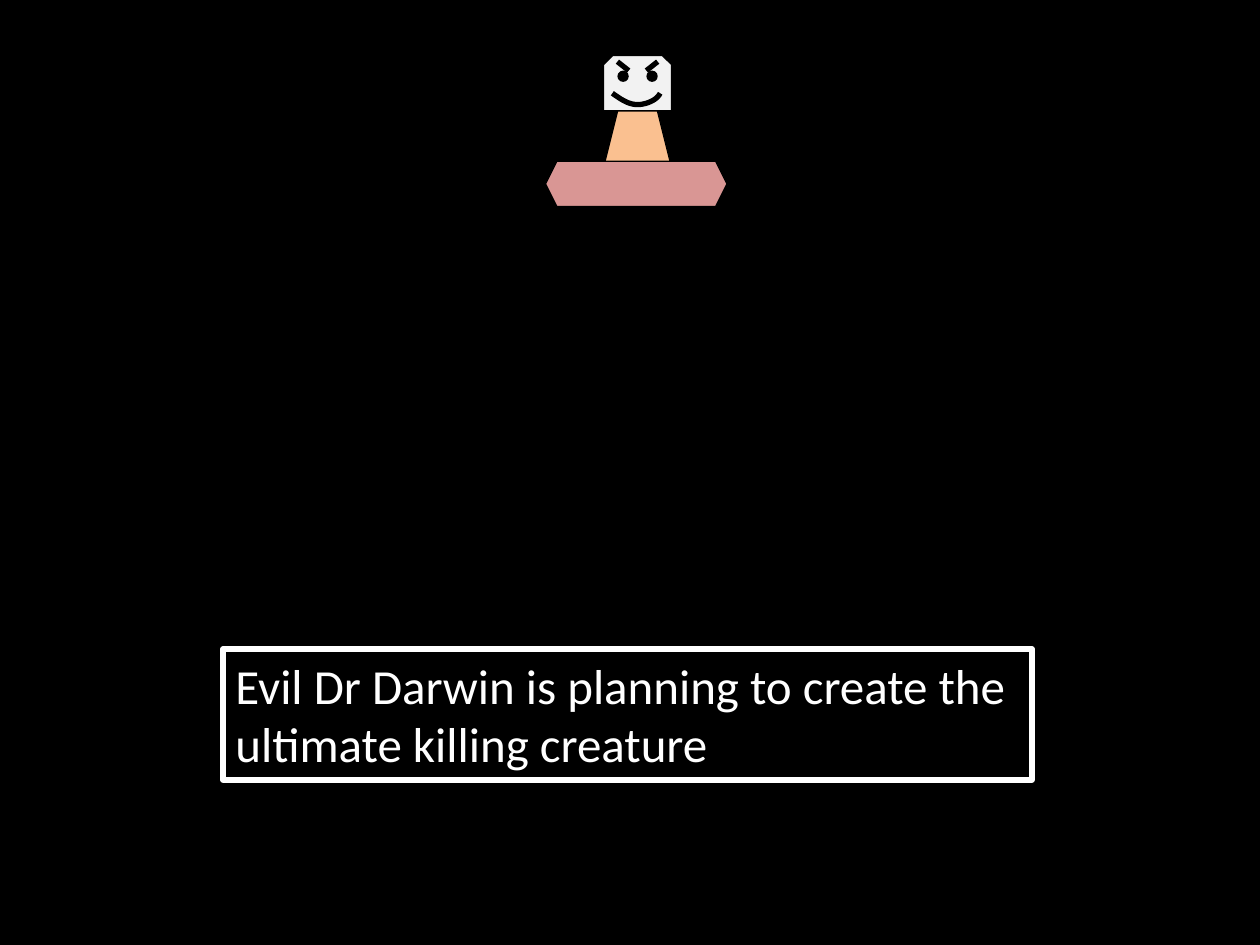
from lxml.etree import SubElement
from pptx import Presentation
from pptx.dml.color import RGBColor
from pptx.enum.shapes import MSO_CONNECTOR, MSO_SHAPE
from pptx.enum.text import MSO_AUTO_SIZE
from pptx.oxml.ns import qn
from pptx.util import Inches, Pt

BLACK = RGBColor(0x00, 0x00, 0x00)
WHITE = RGBColor(0xFF, 0xFF, 0xFF)
PALE_GREY = RGBColor(0xF2, 0xF2, 0xF2)
PEACH = RGBColor(0xFA, 0xC0, 0x90)
PINK = RGBColor(0xD9, 0x96, 0x94)

WIDTH, HEIGHT = Inches(10), Inches(7.5)
FACE_CENTRE = 50.6
SMILE_STEPS = 12
SMILE_CURVES = [
    [(48.6, 9.87), (49.3, 10.53), (49.9, 11.07), (50.6, 11.07)],
    [(50.6, 11.07), (51.2, 11.07), (52.1, 10.67), (52.4, 9.87)],
]
BODY_PARTS = [
    (MSO_SHAPE.TRAPEZOID, (47.9, 10.8, 5.4, 6.93), PEACH),
    (MSO_SHAPE.HEXAGON, (43.3, 17.07, 14.4, 4.8), PINK),
    (MSO_SHAPE.SNIP_2_SAME_RECTANGLE, (47.9, 5.87, 5.4, 5.87), PALE_GREY),
]
CAPTION = "Evil Dr Darwin is planning to create the ultimate killing creature"
CAPTION_FONT = {"name": "Calibri", "size": Pt(28)}


def across(percent):
    """Return a share of the slide's width."""
    return round(WIDTH * percent / 100)


def down(percent):
    """Return a share of the slide's height."""
    return round(HEIGHT * percent / 100)


def place(left, top, width, height):
    """Return a box given in percent of the slide."""
    return across(left), down(top), across(width), down(height)


def set_line(line, colour, width):
    """Give a line its colour and its width in points."""
    line.color.rgb = colour
    line.width = Pt(width)


def add_filled(shapes, kind, box, colour, line_width=None):
    """Add a filled preset shape, outlined in black if a width is given."""
    shape = shapes.add_shape(kind, *place(*box))
    shape.shadow.inherit = False
    shape.fill.solid()
    shape.fill.fore_color.rgb = colour
    if line_width:
        set_line(shape.line, BLACK, line_width)
    else:
        shape.line.fill.background()


def add_brow(shapes, outer, inner):
    """Add a thick eyebrow that slopes down to the nose."""
    brow = shapes.add_connector(
        MSO_CONNECTOR.STRAIGHT, across(outer), down(6.53), across(inner), down(7.47)
    )
    set_line(brow.line, BLACK, 3)
    SubElement(brow.element.spPr, qn("a:effectLst"))


def curve_point(curve, share):
    """Return the point at a share of the way along a cubic curve."""
    rest = 1 - share
    weights = (rest**3, 3 * rest**2 * share, 3 * rest * share**2, share**3)
    x, y = (
        sum(weight * value for weight, value in zip(weights, values))
        for values in zip(*curve)
    )
    return across(x), down(y)


def add_smile(shapes):
    """Add the mouth as one open curved outline."""
    points = [
        curve_point(curve, step / SMILE_STEPS)
        for curve in SMILE_CURVES
        for step in range(1, SMILE_STEPS + 1)
    ]
    builder = shapes.build_freeform(*curve_point(SMILE_CURVES[0], 0))
    builder.add_line_segments(points, close=False)
    smile = builder.convert_to_shape()
    smile.shadow.inherit = False
    smile.fill.background()
    set_line(smile.line, BLACK, 3)


def add_doctor(slide):
    """Add the grouped figure with its mirrored eyes and brows."""
    shapes = slide.shapes.add_group_shape().shapes
    for kind, box, colour in BODY_PARTS:
        add_filled(shapes, kind, box, colour, 0.75)
    add_smile(shapes)
    for side in (-1, 1):
        outer, inner = FACE_CENTRE + side * 1.6, FACE_CENTRE + side * 0.7
        eye = (min(outer, inner), 7.47, 0.9, 1.2)
        add_filled(shapes, MSO_SHAPE.OVAL, eye, BLACK)
        add_brow(shapes, outer, inner)


def add_caption(slide):
    """Add the framed sentence."""
    shape = slide.shapes.add_textbox(*place(17.7, 68.67, 64.2, 13.87))
    set_line(shape.line, WHITE, 3)
    frame = shape.text_frame
    frame.word_wrap = True
    frame.auto_size = MSO_AUTO_SIZE.SHAPE_TO_FIT_TEXT
    run = frame.paragraphs[0].add_run()
    run.text = CAPTION
    for name, value in CAPTION_FONT.items():
        setattr(run.font, name, value)
    run.font.color.rgb = WHITE


def main():
    """Build the slide and save it."""
    presentation = Presentation()
    presentation.slide_width, presentation.slide_height = WIDTH, HEIGHT
    slide = presentation.slides.add_slide(presentation.slide_layouts[6])
    add_filled(slide.shapes, MSO_SHAPE.RECTANGLE, (-3.3, -2, 103.3, 102), BLACK)
    add_doctor(slide)
    add_caption(slide)
    presentation.save("out.pptx")


if __name__ == "__main__":
    main()
